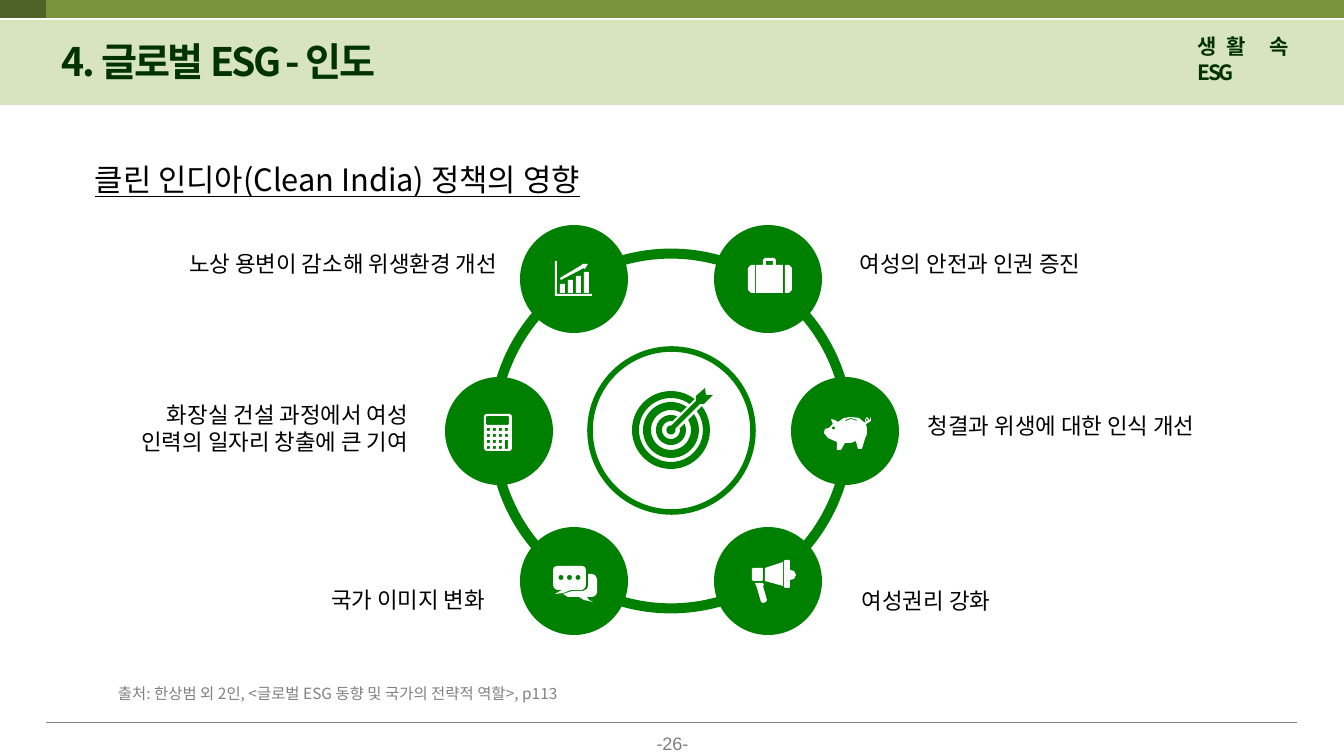
from math import cos, pi, sin

from lxml.etree import SubElement
from pptx import Presentation
from pptx.dml.color import RGBColor
from pptx.enum.shapes import MSO_CONNECTOR, MSO_SHAPE
from pptx.enum.text import MSO_AUTO_SIZE, PP_ALIGN
from pptx.oxml.ns import qn
from pptx.util import Emu, Pt

PX = 914400 / 100.8
WHITE = RGBColor(255, 255, 255)
BLACK = RGBColor(0, 0, 0)
GRAY = RGBColor(128, 128, 128)
GREEN = RGBColor(0, 128, 0)
DARK_GREEN = RGBColor(0, 51, 0)
PALE_OLIVE = RGBColor(215, 228, 189)
OLIVE = RGBColor(119, 147, 60)
DARK_OLIVE = RGBColor(79, 98, 40)
KOREAN = "Noto Sans CJK KR"


def circle(x, y, radius):
    angles = [2 * pi * step / 48 for step in range(48)]
    return [(x + radius * cos(angle), y + radius * sin(angle)) for angle in angles]


def rectangle(left, top, width, height, cut=0):
    right, bottom = left + width, top + height
    return [(left + cut, top), (right - cut, top), (right, top + cut), (right, bottom - cut),
            (right - cut, bottom), (left + cut, bottom), (left, bottom - cut), (left, top + cut)]


presentation = Presentation()
presentation.slide_width = Emu(round(1344 * PX))
presentation.slide_height = Emu(round(756 * PX))
slide = presentation.slides.add_slide(presentation.slide_layouts[6])

shapes = [
    (MSO_SHAPE.RECTANGLE, (0, 20, 1344, 85), PALE_OLIVE, 0),
    (MSO_SHAPE.RECTANGLE, (0, 0, 1344, 18), OLIVE, 0),
    (MSO_SHAPE.RECTANGLE, (0, 0, 46, 18), DARK_OLIVE, 0),
    (MSO_SHAPE.OVAL, (590, 349, 163, 163), WHITE, 4),
    (MSO_SHAPE.DONUT, (490, 250, 362, 362), GREEN, 2),
]
for top, lefts in ((225, (520, 714)), (377, (445, 791)), (527, (520, 714))):
    for left in lefts:
        shapes.append((MSO_SHAPE.OVAL, (left, top, 108, 108), GREEN, 0))

for kind, box, fill, line_width in shapes:
    shape = slide.shapes.add_shape(kind, *[Emu(round(length * PX)) for length in box])
    shape.shadow.inherit = False
    shape.fill.solid()
    shape.fill.fore_color.rgb = fill
    if line_width:
        shape.line.color.rgb = GREEN
        shape.line.width = Pt(line_width)
    else:
        shape.line.fill.background()
    if kind == MSO_SHAPE.DONUT:
        shape.adjustments[0] = 0.02

footer_line = slide.shapes.add_connector(
    MSO_CONNECTOR.STRAIGHT, *[Emu(round(length * PX)) for length in (46, 722, 1297, 722)])
footer_line.line.color.rgb = GRAY
footer_line.line.width = Pt(0.5)
SubElement(footer_line._element.spPr, qn("a:effectLst"))

chart_icon = [rectangle(560 + 8 * bar, 284 - 4 * bar, 5, 9 + 4 * bar) for bar in range(4)] + [
    [(582, 264), (588, 264), (585, 269), (584, 268), (561, 280), (560, 278), (582, 265)],
    [(555, 261), (557, 261), (557, 294), (592, 294), (592, 296), (555, 296)],
]
calculator_icon = [rectangle(484, 414, 28, 37, 2), rectangle(486, 416, 23, 9, 1)]
for column in range(4):
    for row in range(4):
        if (column, row) != (3, 3):
            height = 9 if (column, row) == (3, 2) else 3
            calculator_icon.append(rectangle(487 + 6 * column, 428 + 6 * row, 3, height))
speech_icon = [circle(561 + 8.5 * dot, 577.5, 2.5) for dot in range(3)] + [
    [(557, 566), (582, 566), (585, 567), (586, 570), (586, 585), (585, 588), (582, 590),
     (571, 590), (563, 593), (555, 594), (562, 590), (557, 590), (554, 588), (553, 585),
     (553, 570), (554, 567)],
    [(588, 574), (592, 574), (595, 575), (597, 579), (597, 593), (595, 596), (592, 597),
     (587, 597), (589, 600), (593, 602), (584, 600), (579, 597), (568, 597), (563, 594),
     (572, 591), (583, 591), (587, 589), (588, 586)],
]
megaphone_icon = [
    [(763, 583), (764, 585), (763, 586), (767, 600), (766, 602), (763, 603), (761, 602),
     (757, 588), (755, 583)],
    [(783, 562), (783, 586), (765, 581), (765, 568)],
    [(790, 570), (794, 571), (796, 575), (794, 579), (790, 580)],
    rectangle(752, 568, 11, 13, 1),
    rectangle(784, 560, 6, 28, 1),
]
piggy_icon = [
    circle(833.5, 428, 1.5),
    circle(867, 420, 1),
    [(845, 420), (851, 418), (857, 420), (857, 421), (851, 419), (846, 421)],
    [(844, 418), (851, 417), (859, 418), (864, 422), (866, 423), (865, 420), (867, 417),
     (869, 419), (869, 421), (871, 417), (871, 421), (868, 423), (866, 424), (867, 428),
     (867, 434), (865, 439), (862, 449), (858, 449), (856, 441), (851, 443), (845, 443),
     (841, 450), (837, 450), (837, 442), (828, 438), (824, 433), (825, 429), (829, 428),
     (833, 424), (831, 419), (835, 420), (838, 422)],
]
briefcase_icon = [
    [(785, 265), (789, 265), (792, 268), (792, 290), (789, 293), (785, 293)],
    [(755, 265), (751, 265), (748, 268), (748, 290), (751, 293), (755, 293)],
    [(763, 265), (763, 260), (765, 258), (774, 258), (776, 260), (776, 265)],
    rectangle(766, 261, 7, 4),
    rectangle(756, 265, 27, 28),
]
target_rings = [circle(671, 430, radius) for radius in (39, 32, 28, 20, 15, 9, 4.5)]
arrow_gap = [[(673, 421), (703, 391), (710, 398), (680, 428)]]
target_arrow = [[(705, 388), (706, 395), (713, 395), (704, 404), (700, 404), (674, 430),
                 (670, 427), (696, 401), (696, 396)]]

outlines = [(icon, WHITE) for icon in (chart_icon, calculator_icon, speech_icon,
                                      megaphone_icon, piggy_icon, briefcase_icon)]
outlines += [(target_rings, GREEN), (arrow_gap, WHITE), (target_arrow, GREEN)]
for contours, color in outlines:
    builder = None
    for contour in contours:
        points = [(x * PX, y * PX) for x, y in contour]
        if builder is None:
            builder = slide.shapes.build_freeform(*points[0])
        else:
            builder.move_to(*points[0])
        builder.add_line_segments(points[1:], close=True)
    shape = builder.convert_to_shape()
    shape.shadow.inherit = False
    shape.fill.solid()
    shape.fill.fore_color.rgb = color
    shape.line.fill.background()

LABEL = {"size": Pt(16), "name": KOREAN}
HEADING = {"bold": True, "name": KOREAN}
texts = [
    ("-26-", (626, 728, 93, 34), PP_ALIGN.CENTER, GRAY, 0, {"size": Pt(12.9), "name": "Arial"}),
    ("생활 속 ESG", (1188, 29, 108, 35), PP_ALIGN.JUSTIFY, DARK_GREEN, -190,
     {**HEADING, "size": Pt(15)}),
    ("4. 글로벌 ESG - 인도", (52, 32, 413, 57), PP_ALIGN.LEFT, DARK_GREEN, -190,
     {**HEADING, "size": Pt(28)}),
    ("클린 인디아(Clean India) 정책의 영향", (85, 156, 672, 47), PP_ALIGN.LEFT, BLACK, 0,
     {"size": Pt(22), "underline": True, "name": KOREAN}),
    ("출처: 한상범 외 2인, <글로벌 ESG 동향 및 국가의 전략적 역할>, p113",
     (108, 679, 673, 29), PP_ALIGN.LEFT, GRAY, 0, {"size": Pt(11), "name": KOREAN}),
    ("여성권리 강화", (852, 582, 323, 37), PP_ALIGN.LEFT, BLACK, 0, LABEL),
    ("국가 이미지 변화", (173, 581, 322, 37), PP_ALIGN.RIGHT, BLACK, 0, LABEL),
    ("청결과 위생에 대한 인식 개선", (918, 407, 323, 37), PP_ALIGN.LEFT, BLACK, 0, LABEL),
    ("노상 용변이 감소해 위생환경 개선", (173, 245, 334, 37), PP_ALIGN.RIGHT, BLACK, 0, LABEL),
    ("여성의 안전과 인권 증진", (850, 245, 323, 37), PP_ALIGN.LEFT, BLACK, 0, LABEL),
    ("화장실 건설 과정에서 여성 인력의 일자리 창출에 큰 기여", (91, 396, 327, 64),
     PP_ALIGN.RIGHT, BLACK, 0, LABEL),
]
for text, box, alignment, color, spacing, font_values in texts:
    text_box = slide.shapes.add_textbox(*[Emu(round(length * PX)) for length in box])
    text_frame = text_box.text_frame
    text_frame.word_wrap = True
    text_frame.auto_size = MSO_AUTO_SIZE.SHAPE_TO_FIT_TEXT
    paragraph = text_frame.paragraphs[0]
    paragraph.alignment = alignment
    run = paragraph.add_run()
    run.text = text
    run.font.color.rgb = color
    for attribute, value in font_values.items():
        setattr(run.font, attribute, value)
    properties = run._r.get_or_add_rPr()
    SubElement(properties, qn("a:ea")).set("typeface", font_values["name"])
    if spacing:
        properties.set("spc", str(spacing))

presentation.save("out.pptx")
